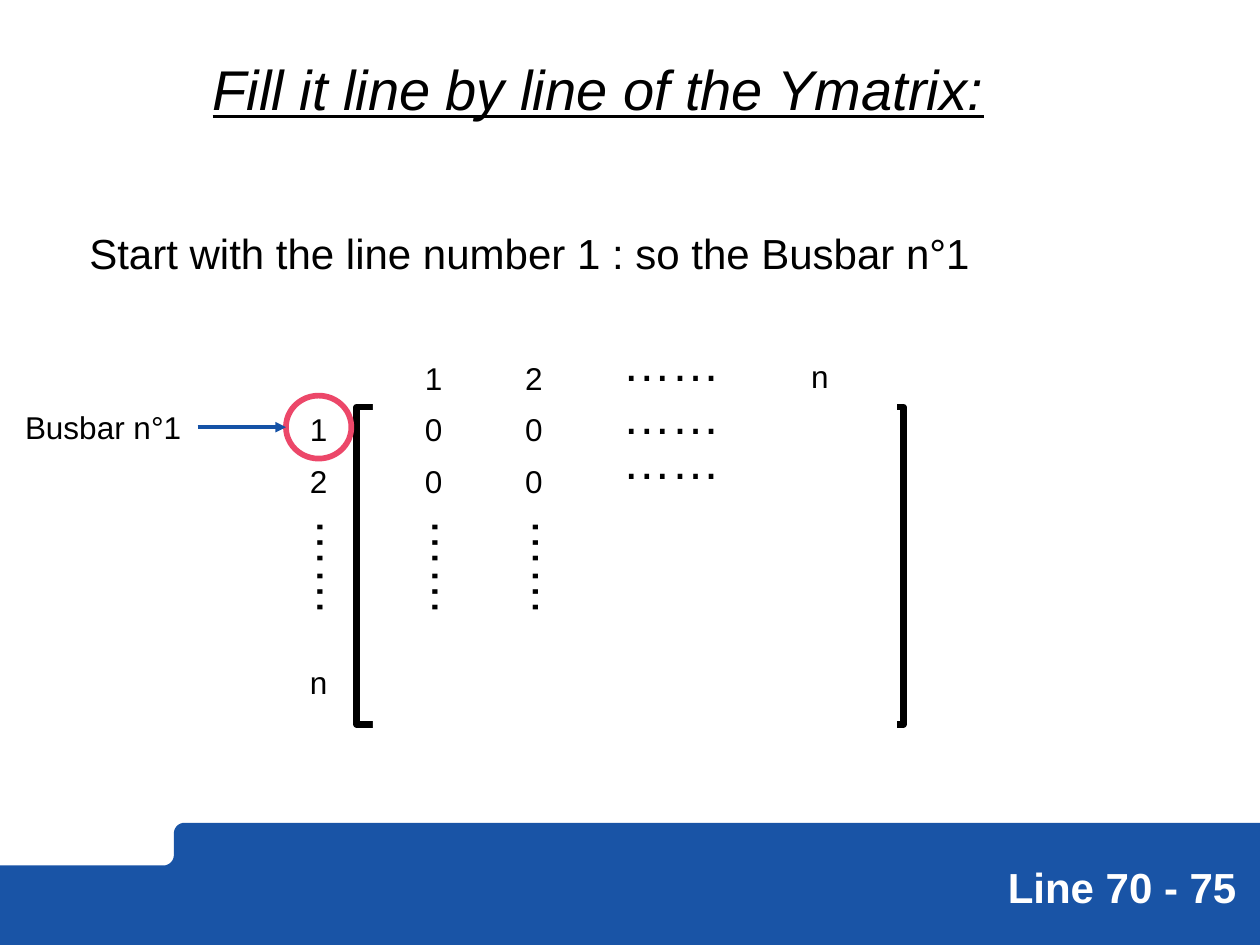
from math import cos, pi, sin

from lxml import etree
from pptx import Presentation
from pptx.dml.color import RGBColor
from pptx.enum.shapes import MSO_CONNECTOR, MSO_SHAPE
from pptx.enum.text import MSO_AUTO_SIZE
from pptx.oxml.ns import qn
from pptx.util import Pt

RECTANGLE = MSO_SHAPE.RECTANGLE
OVAL = MSO_SHAPE.OVAL
STRAIGHT = MSO_CONNECTOR.STRAIGHT
FIT_TEXT = MSO_AUTO_SIZE.SHAPE_TO_FIT_TEXT

BLACK, WHITE = "000000", "FFFFFF"
BAND_BLUE, ARROW_BLUE, PINK = "1954A6", "1552A6", "EC4769"
DOTS = "……"


def color(value):
    return RGBColor.from_string(value)


def quarter_arc(center_x, center_y, radius, start):
    angles = [start + step * pi / 16 for step in range(9)]
    return [(center_x + radius * cos(a), center_y + radius * sin(a)) for a in angles]


class SlideWriter:
    font = "Arial"

    def __init__(self, slide):
        self.slide = slide

    def paint(self, shape, fill=None, line=None, line_width=1):
        shape.shadow.inherit = False
        if fill:
            shape.fill.solid()
            shape.fill.fore_color.rgb = color(fill)
        else:
            shape.fill.background()
        if line:
            shape.line.color.rgb = color(line)
            shape.line.width = Pt(line_width)
        else:
            shape.line.fill.background()

    def shape(self, kind, left, top, width, height, **style):
        shape = self.slide.shapes.add_shape(kind, Pt(left), Pt(top), Pt(width), Pt(height))
        self.paint(shape, **style)

    def outline(self, points, **style):
        points = [(Pt(x), Pt(y)) for x, y in points]
        builder = self.slide.shapes.build_freeform(*points[0], scale=1.0)
        builder.add_line_segments(points[1:], close=True)
        self.paint(builder.convert_to_shape(), **style)

    def text(self, words, left, top, width=24.5, height=29, size=18, ink=BLACK,
             rotation=0, bold=None, italic=None, underline=None):
        box = self.slide.shapes.add_textbox(Pt(left), Pt(top), Pt(width), Pt(height))
        box.rotation = rotation
        frame = box.text_frame
        frame.text = words
        frame.word_wrap = False
        frame.auto_size = FIT_TEXT
        font = frame.paragraphs[0].runs[0].font
        font.name, font.size = self.font, Pt(size)
        font.color.rgb = color(ink)
        font.bold, font.italic, font.underline = bold, italic, underline

    def dots(self, left, top, rotation=0):
        self.text(DOTS, left, top, 71.3, 41, size=28, rotation=rotation)

    def arrow(self, start_x, end_x, y, ink, line_width):
        arrow = self.slide.shapes.add_connector(STRAIGHT, Pt(start_x), Pt(y), Pt(end_x), Pt(y))
        arrow.line.color.rgb = color(ink)
        arrow.line.width = Pt(line_width)
        line = arrow.line._get_or_add_ln()
        etree.SubElement(line, qn("a:tailEnd"), type="triangle")
        etree.SubElement(arrow._element.spPr, qn("a:effectLst"))


def main():
    presentation = Presentation()
    presentation.slide_width, presentation.slide_height = Pt(720), Pt(540)
    slide = presentation.slides.add_slide(presentation.slide_layouts[6])
    writer = SlideWriter(slide)

    upper_corner = quarter_arc(105.4, 476.2, 6, pi)
    lower_corner = quarter_arc(93.4, 488.6, 6, 0)
    band = [(0, 494.6), *reversed(lower_corner), *upper_corner,
            (720, 470.2), (720, 541.4), (0, 541.4)]
    writer.outline(band, fill=BAND_BLUE)

    writer.text("Start with the line number 1 : so the Busbar n°1",
                44, 126.7, 522.7, 36, size=24)
    writer.text("Fill it line by line of the Ymatrix:",
                114.5, 27.4, 458.6, 46, size=32, italic=True, underline=True)

    writer.shape(RECTANGLE, 203.8, 232.6, 312.5, 181.4, line=BLACK, line_width=3.75)
    writer.shape(RECTANGLE, 213.1, 209.5, 299.5, 214.6, fill=WHITE)

    label_column, first_column, second_column = 170, 235.7, 293
    header_row, first_row, second_row = 201.6, 230.6, 260.4

    for label, top in (("1", first_row), ("2", second_row), ("n", 375.1)):
        writer.text(label, label_column, top)
    for label, left in (("1", first_column), ("2", second_column)):
        writer.text(label, left, header_row)
        for top in (first_row, second_row):
            writer.text("0", left, top)
    writer.text("n", 456.5, 200.2)

    for top in (186.5, 216.7, 242.6):
        writer.dots(348.5, top)
    for left in (label_column, first_column, second_column):
        writer.dots(left - 13.2, 304.6, rotation=90)

    writer.shape(OVAL, 163.4, 226.1, 37.4, 36, line=PINK, line_width=3.25)
    writer.arrow(113, 163.4, 244.1, ARROW_BLUE, 2)
    writer.text("Busbar n°1", 7.2, 229.7, 104.4)
    writer.text("Line 70 - 75", 568.8, 488.9, 146.2, 36, size=24, ink=WHITE, bold=True)

    presentation.save("out.pptx")


if __name__ == "__main__":
    main()
